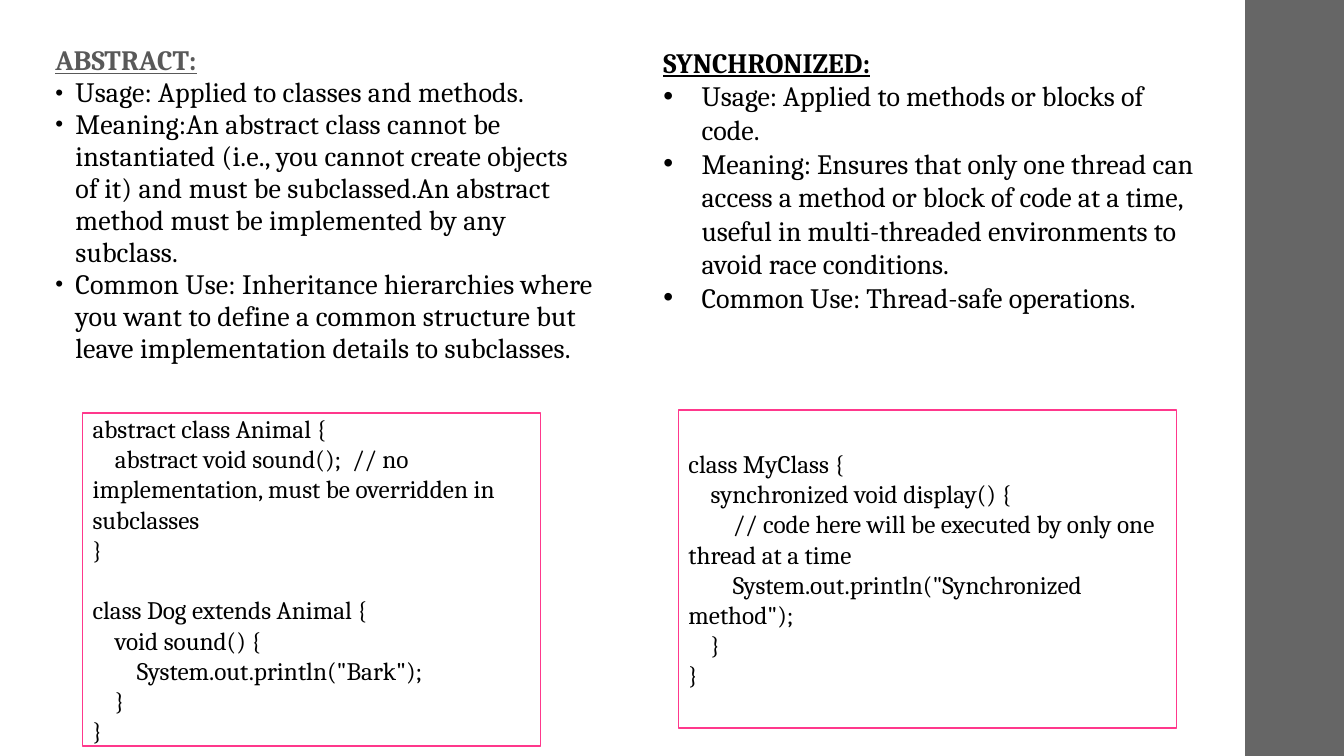
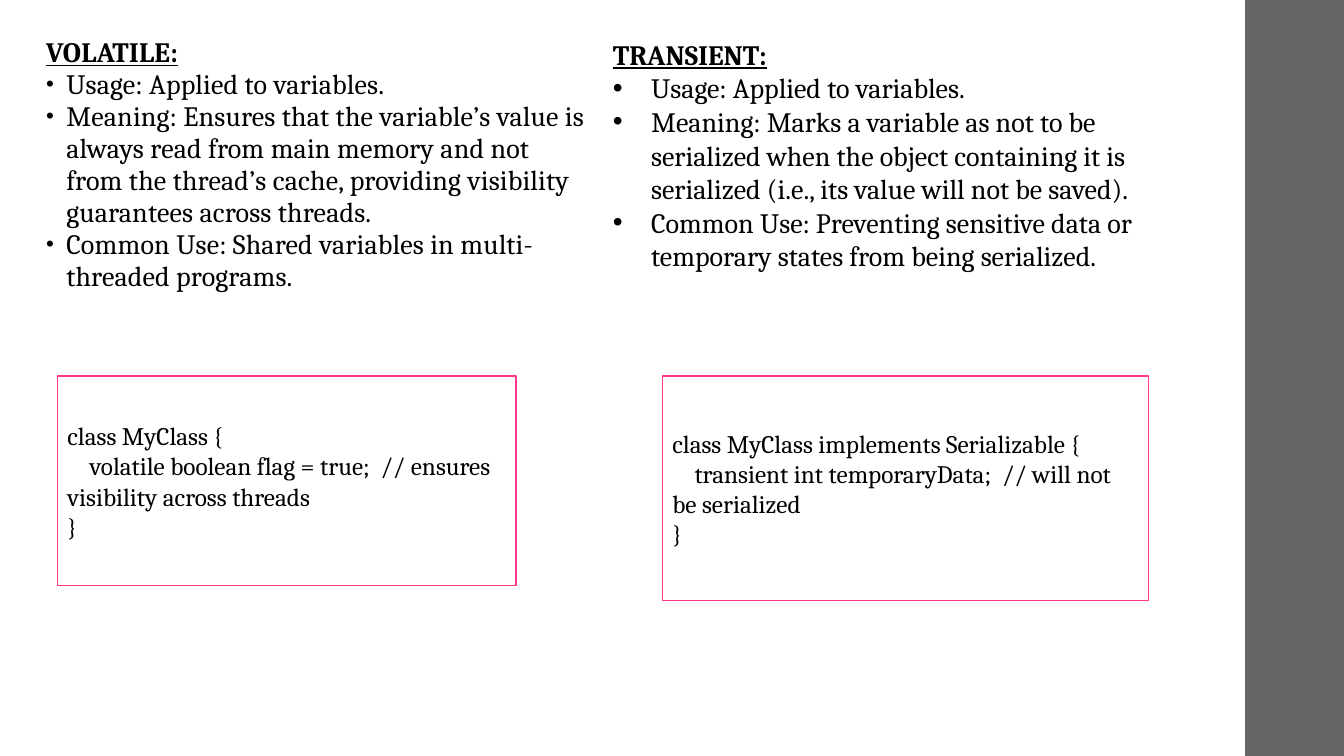
from lxml.etree import SubElement
from pptx import Presentation
from pptx.dml.color import RGBColor
from pptx.enum.shapes import MSO_SHAPE
from pptx.enum.text import MSO_ANCHOR, MSO_AUTO_SIZE, PP_ALIGN
from pptx.oxml.ns import qn
from pptx.util import Inches, Pt

FONT = "Cambria"
BLACK, GREY, BAND, PINK, WHITE = "000000", "595959", "666666", "FF388C", "FFFFFF"
STEP = 0.22
GAP = 21.6
LEFT = {"ind": 0.2, "lead": 0.95, "size": 80, "track": 10, "grow": False}
RIGHT = {"ind": 0.38, "lead": 1.0, "size": 100, "track": 0, "grow": True}

SLIDES = [
    [
        {"style": LEFT, "at": (0.45, 0.4, 5.54, 6.52), "head": "ABSTRACT:", "color": GREY,
         "points": [
             "Usage: Applied to classes and methods.",
             "Meaning:An abstract class cannot be instantiated (i.e., you cannot create objects "
             "of it) and must be subclassed.An abstract method must be implemented by any subclass.",
             "Common Use: Inheritance hierarchies where you want to define a common structure "
             "but leave implementation details to subclasses."],
         "box": (0.82, 4.1, 4.54, 3.3),
         "code": [
             [(0, "abstract class Animal {"),
              (1, "abstract void sound();  // no implementation, must be overridden in subclasses"),
              (0, "}")],
             [(0, "class Dog extends Animal {"),
              (1, "void sound() {"),
              (2, 'System.out.println("Bark");'),
              (1, "}"),
              (0, "}")]]},
        {"style": RIGHT, "at": (6.48, 0.4, 5.59, 3.13), "head": "SYNCHRONIZED:", "color": BLACK,
         "points": [
             "Usage: Applied to methods or blocks of code.",
             "Meaning: Ensures that only one thread can access a method or block of code at a "
             "time, useful in multi-threaded environments to avoid race conditions.",
             "Common Use: Thread-safe operations."],
         "box": (6.73, 4.07, 4.94, 3.15),
         "code": [
             [(0, "class MyClass {"),
              (1, "synchronized void display() {"),
              (2, "// code here will be executed by only one thread at a time"),
              (2, 'System.out.println("Synchronized method");'),
              (1, "}"),
              (0, "}")]]},
    ],
    [
        {"style": LEFT, "at": (0.36, 0.32, 5.54, 6.68), "head": "VOLATILE:", "color": BLACK,
         "points": [
             "Usage: Applied to variables.",
             "Meaning: Ensures that the variable’s value is always read from main memory and "
             "not from the thread’s cache, providing visibility guarantees across threads.",
             "Common Use: Shared variables in multi-threaded programs."],
         "box": (0.57, 3.73, 4.55, 2.08),
         "code": [
             [(0, "class MyClass {"),
              (1, "volatile boolean flag = true;  // ensures visibility across threads"),
              (0, "}")]]},
        {"style": RIGHT, "at": (5.98, 0.32, 5.73, 3.13), "head": "TRANSIENT:", "color": BLACK,
         "points": [
             "Usage: Applied to variables.",
             "Meaning: Marks a variable as not to be serialized when the object containing it "
             "is serialized (i.e., its value will not be saved).",
             "Common Use: Preventing sensitive data or temporary states from being serialized."],
         "box": (6.57, 3.73, 4.82, 2.23),
         "code": [
             [(0, "class MyClass implements Serializable {"),
              (1, "transient int temporaryData;  // will not be serialized"),
              (0, "}")]]},
    ],
]


def rgb(code):
    """Turn a hex string into a colour."""
    return RGBColor.from_string(code)


def add_para(frame, first):
    """Return the first paragraph or a new one."""
    para = frame.paragraphs[0] if first else frame.add_paragraph()
    para.alignment = PP_ALIGN.LEFT
    return para


def add_run(para, text, size, color=BLACK, bold=False, track=0):
    """Add one styled run; bold text is underlined too."""
    run = para.add_run()
    run.text = text
    font = run.font
    font.name, font.size = FONT, Pt(size)
    font.bold = font.underline = bold
    font.color.rgb = rgb(color)
    if track:
        run._r.get_or_add_rPr().set("spc", str(track))


def add_bullet(para, style):
    """Give a paragraph a hanging bullet."""
    props = para._p.get_or_add_pPr()
    props.set("marL", str(Inches(style["ind"])))
    props.set("indent", str(-Inches(style["ind"])))
    SubElement(props, qn("a:buSzPct")).set("val", str(style["size"] * 1000))
    SubElement(props, qn("a:buFont")).set("typeface", "Arial")
    SubElement(props, qn("a:buChar")).set("char", "•")


def add_rect(slide, at, fill, line=None):
    """Draw a flat rectangle."""
    rect = slide.shapes.add_shape(MSO_SHAPE.RECTANGLE, *map(Inches, at))
    rect.shadow.inherit = False
    rect.fill.solid()
    rect.fill.fore_color.rgb = rgb(fill)
    if line:
        rect.line.color.rgb = rgb(line)
        rect.line.width = Pt(1.1)
    else:
        rect.line.fill.background()
    return rect


def add_topic(slide, topic):
    """Write a keyword heading with its bullets."""
    style = topic["style"]
    frame = slide.shapes.add_textbox(*map(Inches, topic["at"])).text_frame
    frame.word_wrap = True
    if style["grow"]:
        frame.auto_size = MSO_AUTO_SIZE.SHAPE_TO_FIT_TEXT
    for row, text in enumerate([topic["head"], *topic["points"]]):
        head = row == 0
        para = add_para(frame, head)
        para.line_spacing = style["lead"]
        if not head:
            add_bullet(para, style)
        add_run(para, text, 20, topic["color"] if head else BLACK, head, style["track"])


def add_code(slide, topic):
    """Write the code sample in its outlined box."""
    frame = add_rect(slide, topic["box"], WHITE, PINK).text_frame
    frame.word_wrap = True
    frame.vertical_anchor = MSO_ANCHOR.MIDDLE
    for part, block in enumerate(topic["code"]):
        for row, (depth, text) in enumerate(block):
            para = add_para(frame, part == row == 0)
            if part and row == 0:
                para.space_before = Pt(GAP)
            para._p.get_or_add_pPr().set("indent", str(Inches(depth * STEP)))
            add_run(para, text, 18)


def main():
    """Build and save the slides."""
    deck = Presentation()
    deck.slide_width, deck.slide_height = Inches(13.33), Inches(7.5)
    blank = deck.slide_layouts[6]
    for index, topics in enumerate(SLIDES):
        slide = deck.slides.add_slide(blank)
        if index == 0:
            band = add_rect(slide, (12.35, 0, 0.98, 7.5), BAND)
            blank.shapes.element.append(band.element)
        for draw in (add_topic, add_code):
            for topic in topics:
                draw(slide, topic)
    deck.save("out.pptx")


if __name__ == "__main__":
    main()
